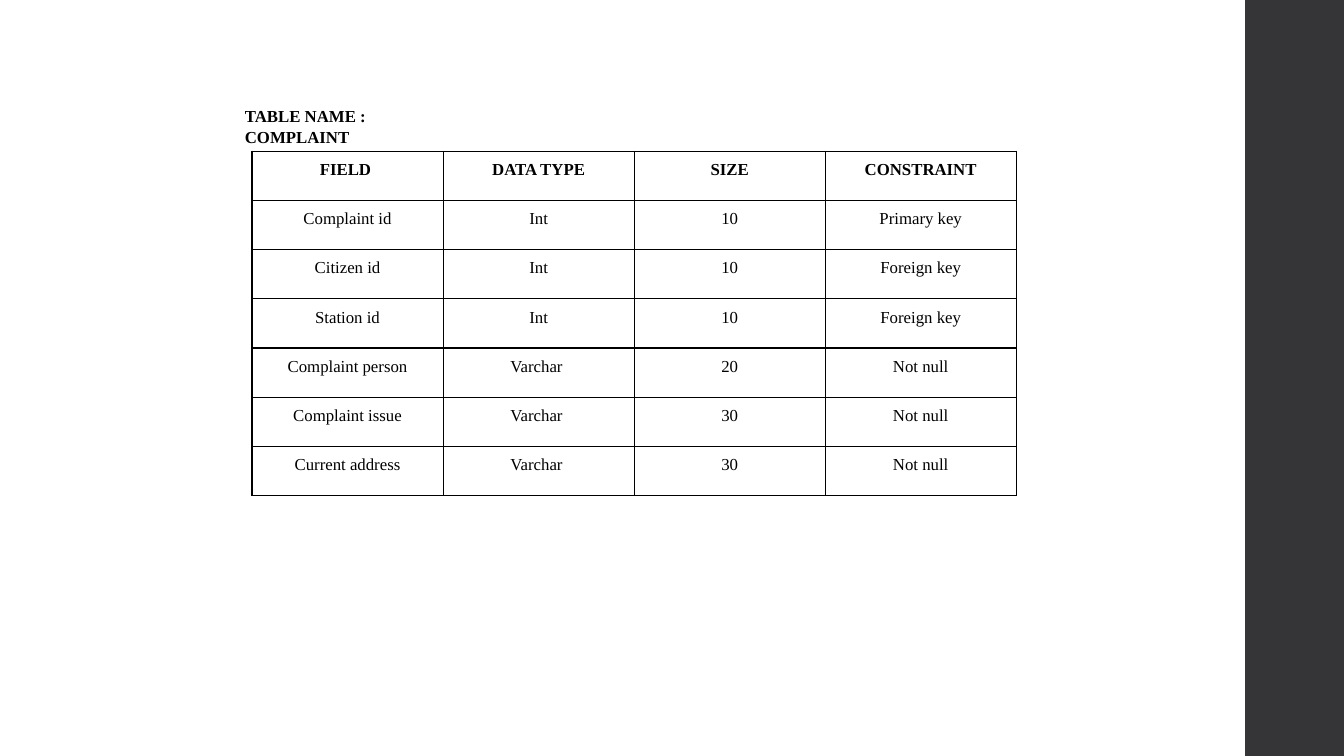
from dataclasses import astuple, dataclass

from lxml import etree
from pptx import Presentation
from pptx.dml.color import RGBColor
from pptx.enum.shapes import MSO_SHAPE
from pptx.enum.text import MSO_ANCHOR, PP_ALIGN
from pptx.oxml.ns import qn
from pptx.util import Inches, Pt

RECT = MSO_SHAPE.RECTANGLE
MIDDLE = MSO_ANCHOR.MIDDLE
LEFT, CENTER = PP_ALIGN.LEFT, PP_ALIGN.CENTER
FONT = "Times New Roman"
BLACK, WHITE, DARK = "000000", "FFFFFF", "353537"


@dataclass
class Field:
    name: str
    kind: str
    size: str
    rule: str


FIELDS = [
    Field("FIELD ", "DATA TYPE", "SIZE", "CONSTRAINT"),
    Field("Complaint id", "Int", "10", "Primary key"),
    Field("Citizen id", "Int", "10", "Foreign key"),
    Field("Station id", "Int", "10", "Foreign key"),
    Field("Complaint person", "Varchar ", "20", "Not null"),
    Field("Complaint issue", "Varchar ", "30", "Not null"),
    Field("Current address", "Varchar ", "30", "Not null"),
]


def paint(target, color: str) -> None:
    """Give a fill one solid colour."""
    target.solid()
    target.fore_color.rgb = RGBColor.from_string(color)


def write(frame, text: str, *, bold=False, align=LEFT, spacing=1.0) -> None:
    para = frame.paragraphs[0]
    para.alignment = align
    para.line_spacing = spacing
    run = para.add_run()
    run.text = text
    font = run.font
    font.name, font.size, font.bold = FONT, Pt(12), bold
    paint(font.fill, BLACK)


def add_border(cell) -> None:
    props = cell._tc.get_or_add_tcPr()
    for i, side in enumerate(("lnL", "lnR", "lnT", "lnB")):
        line = etree.Element(qn(f"a:{side}"), w=str(Pt(1)))
        fill = etree.SubElement(line, qn("a:solidFill"))
        etree.SubElement(fill, qn("a:srgbClr"), val=BLACK)
        props.insert(i, line)


def add_band(slide) -> None:
    band = slide.shapes.add_shape(
        RECT, Inches(12.35), 0, Inches(1), Inches(7.5))
    band.shadow.inherit = False
    paint(band.fill, DARK)
    band.line.fill.background()


def add_fields(slide) -> None:
    rows, cols = len(FIELDS), len(astuple(FIELDS[0]))
    table = slide.shapes.add_table(
        rows, cols, Inches(2.5), Inches(1.5), Inches(7.58), Inches(3.42)).table
    table.first_row = table.horz_banding = False
    for r, field in enumerate(FIELDS):
        for c, text in enumerate(astuple(field)):
            cell = table.cell(r, c)
            cell.margin_left = cell.margin_right = Inches(0.07)
            cell.margin_top = cell.margin_bottom = 0
            paint(cell.fill, WHITE)
            add_border(cell)
            write(cell.text_frame, text, bold=r == 0, align=CENTER, spacing=1.5)


def add_title(slide) -> None:
    box = slide.shapes.add_textbox(
        Inches(2.33), Inches(1.08), Inches(2.48), Inches(0.5))
    frame = box.text_frame
    frame.word_wrap = True
    frame.vertical_anchor = MIDDLE
    frame.margin_right = Inches(0.4)
    frame.margin_top, frame.margin_bottom = 0, Inches(0.17)
    write(frame, "TABLE NAME : COMPLAINT", bold=True, spacing=1.08)


def main() -> None:
    deck = Presentation()
    deck.slide_width, deck.slide_height = Inches(13.33), Inches(7.5)
    slide = deck.slides.add_slide(deck.slide_layouts[6])
    paint(slide.background.fill, WHITE)
    add_band(slide)
    add_fields(slide)
    add_title(slide)
    deck.save("out.pptx")


if __name__ == "__main__":
    main()
